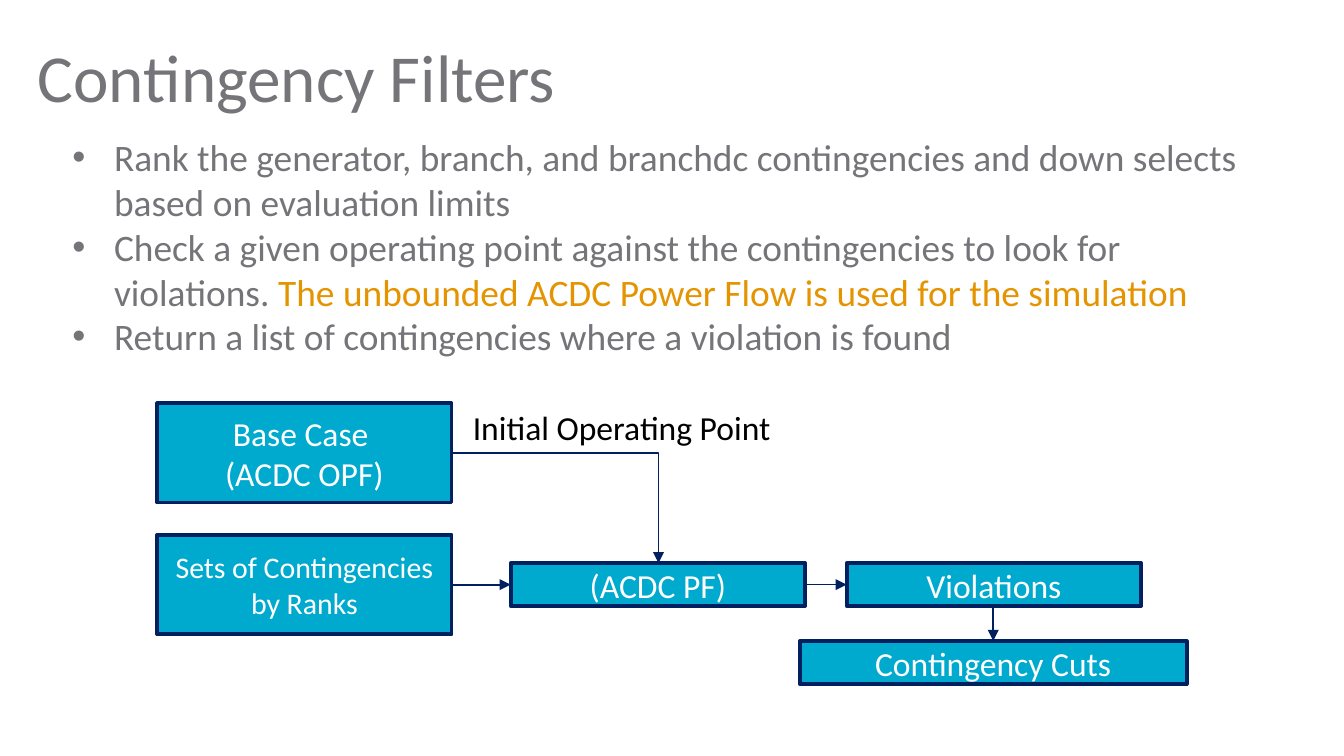
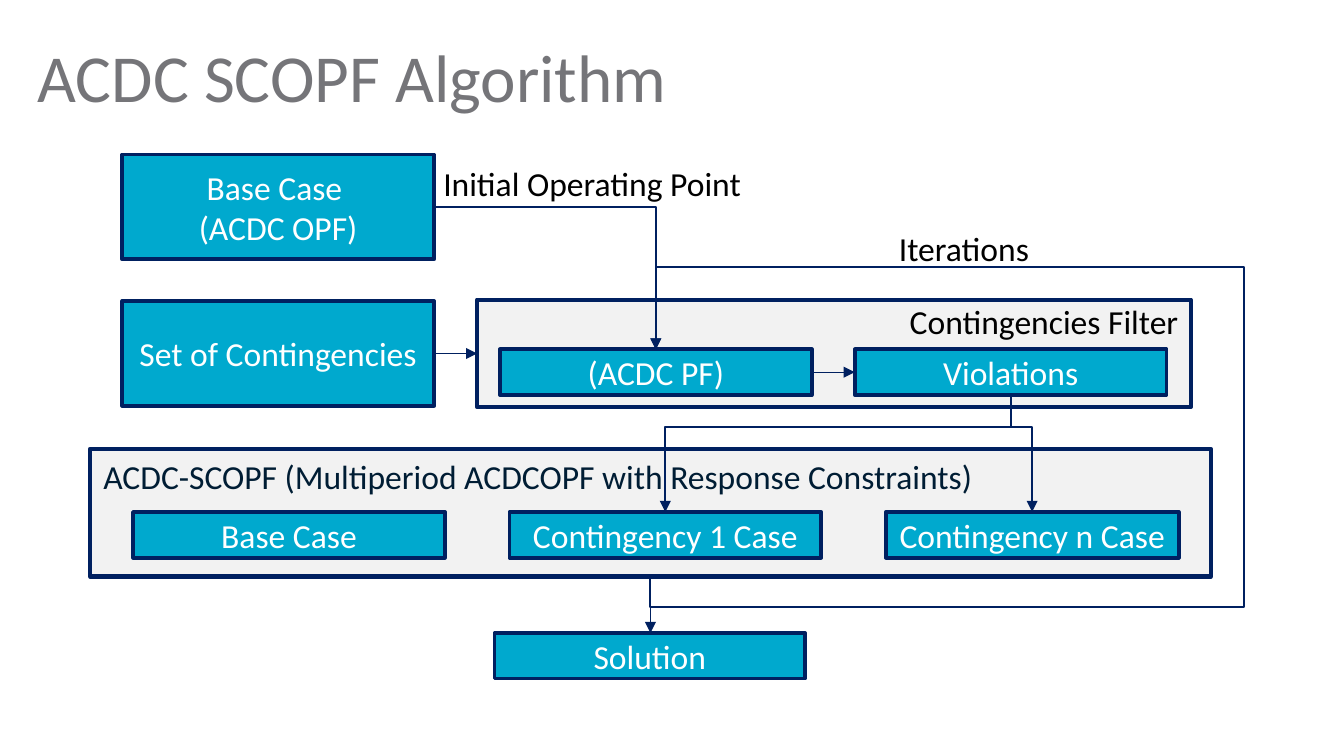
"""Build two slides on contingency filtering and the ACDC SCOPF algorithm."""
from dataclasses import dataclass

from lxml import etree
from pptx import Presentation
from pptx.dml.color import RGBColor
from pptx.enum.shapes import MSO_CONNECTOR, MSO_SHAPE
from pptx.enum.text import MSO_ANCHOR, MSO_AUTO_SIZE, PP_ALIGN
from pptx.oxml.ns import qn
from pptx.util import Pt

RECT = MSO_SHAPE.RECTANGLE
STRAIGHT, ELBOW = MSO_CONNECTOR.STRAIGHT, MSO_CONNECTOR.ELBOW
MIDDLE, TOP = MSO_ANCHOR.MIDDLE, MSO_ANCHOR.TOP
LEFT, CENTER = PP_ALIGN.LEFT, PP_ALIGN.CENTER
GROW = MSO_AUTO_SIZE.SHAPE_TO_FIT_TEXT
FIXED = MSO_AUTO_SIZE.NONE

PX = 9144
SLIDE_WIDTH = 1000 * PX
SLIDE_HEIGHT = SLIDE_WIDTH * 9 // 16
FONT = "Calibri"
COLORS = {
    "grey": "757579",
    "cyan": "00A9CE",
    "navy": "002060",
    "panel": "F2F2F2",
    "orange": "E59401",
    "ink": "001D34",
    "black": "000000",
    "white": "FFFFFF",
}
MARGINS = ("margin_left", "margin_top", "margin_right", "margin_bottom")
TITLE_FORMAT = {"word_wrap": True, "auto_size": FIXED, "vertical_anchor": TOP,
                **dict.fromkeys(MARGINS, 0)}
BOX_FORMAT = {"word_wrap": True, "auto_size": FIXED, "vertical_anchor": MIDDLE}
LABEL_FORMAT = {"word_wrap": True, "auto_size": GROW, "vertical_anchor": TOP}


@dataclass(frozen=True)
class Run:
    """A stretch of text in one colour."""
    text: str
    color: str = "grey"


@dataclass(frozen=True)
class Box:
    """A bordered rectangle with centred lines of text."""
    x: int
    y: int
    w: int
    h: int
    lines: tuple[str, ...] = ()
    size: int = 18
    fill: str = "cyan"
    weight: float = 2


@dataclass(frozen=True)
class Label:
    """A free line of text."""
    x: int
    y: int
    w: int
    h: int
    text: str
    color: str = "black"


@dataclass(frozen=True)
class Link:
    """An arrow; turns alternate between axes, starting with the leaving axis."""
    x1: int
    y1: int
    x2: int
    y2: int
    turns: tuple[int, ...] | None = None
    upright: bool = False
    weight: float = 1


@dataclass(frozen=True)
class Page:
    """The content of one slide."""
    title: str
    boxes: tuple[Box, ...]
    labels: tuple[Label, ...]
    links: tuple[Link, ...]
    bullets: tuple[tuple[Run, ...], ...] = ()


def rgb(name: str) -> RGBColor:
    """Return a named colour."""
    return RGBColor.from_string(COLORS[name])


def apply(target, values: dict) -> None:
    """Set every attribute named in a dict of format values."""
    for name, value in values.items():
        setattr(target, name, value)


def add_runs(p, runs: tuple[Run, ...], size: int, align=LEFT) -> None:
    """Fill a paragraph with formatted runs."""
    p.alignment = align
    for run in runs:
        r = p.add_run()
        r.text = run.text
        apply(r.font, {"name": FONT, "size": Pt(size)})
        r.font.color.rgb = rgb(run.color)


def paragraphs(tf, count: int) -> list:
    """Return the given number of paragraphs of an empty text frame."""
    return [tf.paragraphs[0]] + [tf.add_paragraph() for _ in range(count - 1)]


def add_text(s, x: int, y: int, w: int, h: int, values: dict):
    """Add a text box and return its text frame."""
    tf = s.shapes.add_textbox(x * PX, y * PX, w * PX, h * PX).text_frame
    apply(tf, values)
    return tf


def add_title(s, text: str) -> None:
    """Add the slide title."""
    tf = add_text(s, 28, 26, 945, 70, TITLE_FORMAT)
    add_runs(tf.paragraphs[0], (Run(text),), 36)


def add_bullets(s, items: tuple[tuple[Run, ...], ...]) -> None:
    """Add the bulleted body text."""
    tf = add_text(s, 44, 95, 912, 178, LABEL_FORMAT)
    for p, runs in zip(paragraphs(tf, len(items)), items):
        pPr = p._p.get_or_add_pPr()
        pPr.set("marL", str(31 * PX))
        pPr.set("indent", str(-31 * PX))
        etree.SubElement(pPr, qn("a:buFont"), typeface="Arial")
        etree.SubElement(pPr, qn("a:buChar"), char="•")
        add_runs(p, runs, 20)


def add_box(s, box: Box) -> None:
    """Draw a box with its text."""
    sp = s.shapes.add_shape(RECT, box.x * PX, box.y * PX, box.w * PX, box.h * PX)
    sp.shadow.inherit = False
    sp.fill.solid()
    sp.fill.fore_color.rgb = rgb(box.fill)
    sp.line.color.rgb = rgb("navy")
    sp.line.width = Pt(box.weight)
    if box.lines:
        apply(sp.text_frame, BOX_FORMAT)
        for p, text in zip(paragraphs(sp.text_frame, len(box.lines)), box.lines):
            add_runs(p, (Run(text, "white"),), box.size, CENTER)


def add_label(s, label: Label) -> None:
    """Draw a label."""
    tf = add_text(s, label.x, label.y, label.w, label.h, LABEL_FORMAT)
    add_runs(tf.paragraphs[0], (Run(label.text, label.color),), 18)


def bend(sp, link: Link) -> None:
    """Give an elbow connector its turns and direction."""
    dx, dy = link.x2 - link.x1, link.y2 - link.y1
    axes = [(link.x1, dx), (link.y1, dy)]
    if link.upright:
        axes.reverse()
        w, h = abs(dy) * PX, abs(dx) * PX
        apply(sp, {"left": ((link.x1 + link.x2) * PX - w) // 2,
                   "top": ((link.y1 + link.y2) * PX - h) // 2,
                   "width": w, "height": h})
        xfrm = sp._element.spPr.find(qn("a:xfrm"))
        for name, value in {"rot": 90 * 60000, "flipH": int(dy < 0),
                            "flipV": int(dx > 0)}.items():
            xfrm.set(name, str(value))
    geom = sp._element.spPr.find(qn("a:prstGeom"))
    geom.set("prst", f"bentConnector{len(link.turns) + 2}")
    guides = geom.find(qn("a:avLst"))
    for i, turn in enumerate(link.turns):
        start, span = axes[i % 2]
        share = round((turn - start) / span * 100000)
        etree.SubElement(guides, qn("a:gd"), name=f"adj{i + 1}", fmla=f"val {share}")


def add_link(s, link: Link) -> None:
    """Draw an arrow, straight or bent."""
    kind = STRAIGHT if link.turns is None else ELBOW
    sp = s.shapes.add_connector(kind, link.x1 * PX, link.y1 * PX,
                                link.x2 * PX, link.y2 * PX)
    if link.turns is not None:
        bend(sp, link)
    sp.line.color.rgb = rgb("navy")
    sp.line.width = Pt(link.weight)
    etree.SubElement(sp.line._get_or_add_ln(), qn("a:tailEnd"), type="triangle")
    etree.SubElement(sp._element.spPr, qn("a:effectLst"))


def add_page(prs, page: Page) -> None:
    """Draw one slide."""
    s = prs.slides.add_slide(prs.slide_layouts[6])
    add_title(s, page.title)
    for box in page.boxes:
        add_box(s, box)
    for label in page.labels:
        add_label(s, label)
    for link in page.links:
        add_link(s, link)
    if page.bullets:
        add_bullets(s, page.bullets)


BASE_CASE = ("Base Case ", "(ACDC OPF)")
POWER_FLOW = ("(ACDC PF)",)
VIOLATIONS = ("Violations",)
INITIAL_POINT = "Initial Operating Point"

FILTERS = Page(
    "Contingency Filters",
    boxes=(
        Box(117, 300, 219, 74, BASE_CASE),
        Box(117, 398, 219, 74, ("Sets of Contingencies by Ranks",), size=16),
        Box(595, 477, 288, 32, ("Contingency Cuts",)),
        Box(380, 419, 219, 32, POWER_FLOW),
        Box(630, 419, 219, 32, VIOLATIONS),
    ),
    labels=(Label(342, 298, 253, 40, INITIAL_POINT),),
    links=(
        Link(336, 435, 380, 435),
        Link(739, 451, 739, 477, turns=(464,), upright=True),
        Link(336, 337, 490, 419, turns=()),
        Link(599, 435, 630, 435, weight=0.75),
    ),
    bullets=(
        (Run("Rank the generator, branch, and branchdc contingencies and down "
             "selects based on evaluation limits"),),
        (Run("Check a given operating point against the contingencies to look "
             "for violations. "),
         Run("The unbounded ACDC Power Flow is used for the simulation", "orange")),
        (Run("Return a list of contingencies where a violation is found"),),
    ),
)

ALGORITHM = Page(
    "ACDC SCOPF Algorithm",
    boxes=(
        Box(355, 223, 531, 80, fill="panel", weight=2.25),
        Box(67, 334, 834, 95, fill="panel", weight=2.25),
        Box(91, 115, 232, 78, BASE_CASE),
        Box(91, 224, 232, 78, ("Set of Contingencies",)),
        Box(99, 381, 232, 34, ("Base Case",)),
        Box(379, 381, 232, 34, ("Contingency 1 Case",)),
        Box(659, 381, 218, 34, ("Contingency n Case",)),
        Box(372, 260, 232, 34, POWER_FLOW),
        Box(636, 260, 232, 34, VIOLATIONS),
        Box(368, 471, 231, 34, ("Solution",)),
    ),
    labels=(
        Label(67, 334, 778, 40,
              "ACDC-SCOPF (Multiperiod ACDCOPF with Response Constraints)", "ink"),
        Label(320, 116, 246, 40, INITIAL_POINT),
        Label(667, 219, 241, 38, "Contingencies Filter"),
        Label(659, 165, 121, 38, "Iterations"),
    ),
    links=(
        Link(323, 263, 355, 263),
        Link(752, 295, 768, 381, turns=(318,), upright=True),
        Link(752, 295, 495, 381, turns=(318,), upright=True),
        Link(323, 154, 488, 260, turns=()),
        Link(604, 277, 636, 277, weight=0.75),
        Link(484, 429, 484, 471),
        Link(484, 429, 488, 260, turns=(452, 924, 199), upright=True),
    ),
)


def main() -> None:
    """Build and save the deck."""
    prs = Presentation()
    apply(prs, {"slide_width": SLIDE_WIDTH, "slide_height": SLIDE_HEIGHT})
    for page in (FILTERS, ALGORITHM):
        add_page(prs, page)
    prs.save("out.pptx")


if __name__ == "__main__":
    main()
